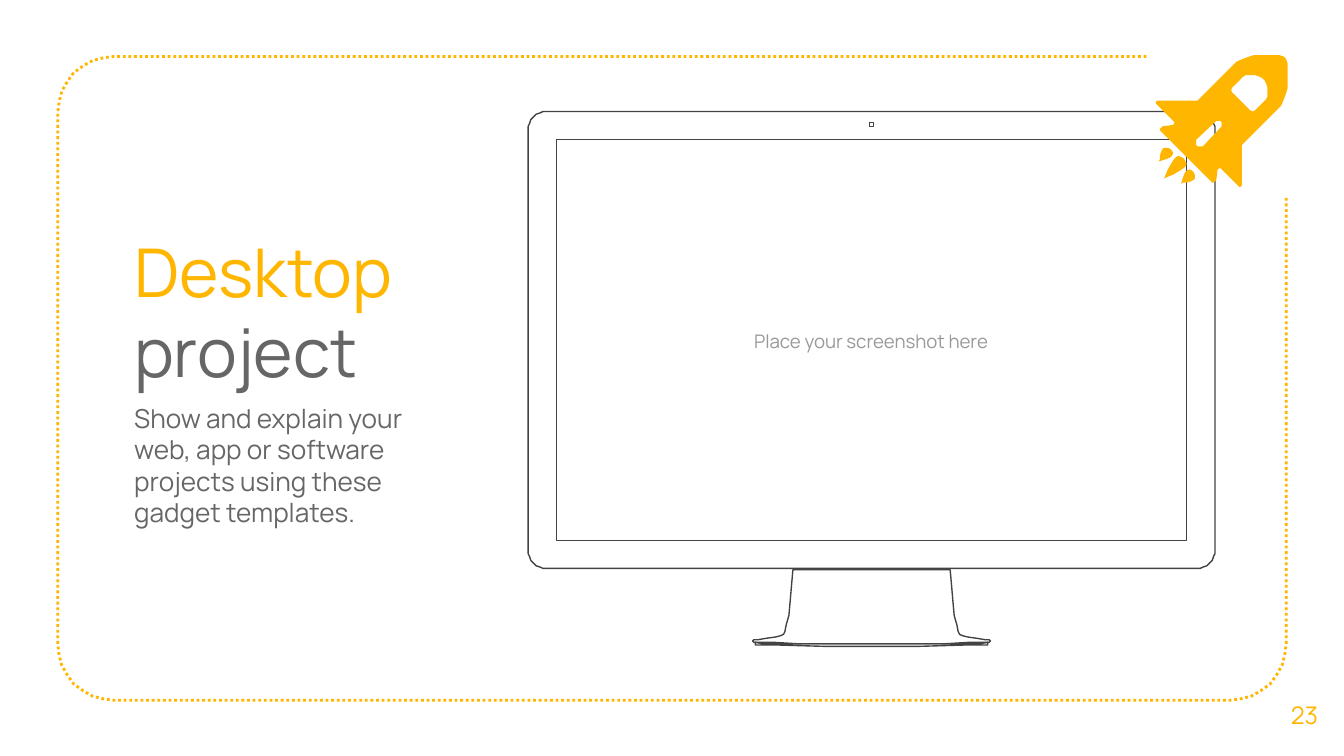
from math import cos, sin, radians
from pptx import Presentation
from pptx.dml.color import RGBColor
from pptx.enum.dml import MSO_LINE
from pptx.enum.text import MSO_ANCHOR, PP_ALIGN
from pptx.util import Inches, Pt

THEME = {
    "font": "Manrope",
    "gold": "FFB600", "gray": "666666", "pale": "999999",
    "ink": "434343", "white": "FFFFFF",
    "head": 36, "body": 14, "hint": 10, "page": 13,
}
WIDE, HIGH = 10, 5.625
COLS = 1000
CELL = Inches(WIDE) / COLS

TEXTS = [
    ((414, 104, 468, 299), PP_ALIGN.CENTER, 0,
     [[("Place your screenshot here", "hint", "pale")]]),
    ((941, 502, 59, 60), PP_ALIGN.CENTER, 0,
     [[("23", "page", "gold")]]),
    ((90, 42, 248, 480), PP_ALIGN.LEFT, 6,
     [[("Desktop ", "head", "gold"), ("project", "head", "gray")],
      [("Show and explain your web, app or software projects using these "
        "gadget templates.", "body", "gray")]]),
]

STAND = [(590, 424), (589, 435), (588, 447), (587, 458), (585, 465), (584, 470),
         (583, 472), (581, 473), (577, 474), (570, 475), (564, 476), (561, 476),
         (560, 477), (561, 478), (565, 478), (576, 478), (593, 479)]
FOOT = [(615, 479), (578, 479), (568, 479), (562, 478), (562, 480), (567, 480),
        (580, 480), (615, 481)]

HULL = [(956, 43), (955, 42), (952, 41), (945, 41), (939, 41), (933, 41),
        (927, 43), (922, 45), (920, 46), (918, 48), (891, 75), (862, 75),
        (861, 75), (860, 76), (860, 77), (861, 78), (874, 91), (873, 93),
        (865, 94), (864, 95), (863, 96), (863, 97), (864, 98)]
PANE = [(941, 60), (939, 58), (937, 57), (934, 56), (930, 56), (927, 56),
        (925, 57), (923, 59), (918, 64), (917, 65), (916, 67), (917, 69),
        (918, 70)]
SLOT = [(908, 90), (907, 90), (906, 90), (905, 90), (890, 104), (890, 105),
        (890, 107), (890, 108)]
FLAME = [(881, 118), (879, 117), (877, 116), (875, 117), (874, 118), (872, 121),
         (869, 126), (867, 131), (866, 133)]
SPARK = [(868, 110), (866, 110), (865, 111), (864, 113), (863, 116), (863, 119),
         (862, 120), (863, 120), (866, 119), (869, 118), (871, 117), (872, 116),
         (873, 114), (872, 112), (871, 111), (869, 110)]


def arc(x, y, size, start, end, steps=8):
    turns = [radians(start + (end - start) * i / steps) for i in range(steps + 1)]
    return [(x + size * cos(t), y + size * sin(t)) for t in turns]


def box(left, top, right, low, size):
    return (arc(left + size, top + size, size, 270, 180)
            + arc(left + size, low - size, size, 180, 90)
            + arc(right - size, low - size, size, 90, 0)
            + arc(right - size, top + size, size, 0, -90))


def across(dot):
    return 1297 - dot[0], dot[1]


def aslant(dot):
    return 999 - dot[1], 999 - dot[0]


def fold(half, flip):
    return half + [flip(dot) for dot in reversed(half)]


def color(name):
    return RGBColor.from_string(THEME[name])


def draw(paths, fill=None, line=None, width=0.75, close=True):
    pen = slide.shapes.build_freeform(*paths[0][0], scale=CELL)
    for i, dots in enumerate(paths):
        if i:
            pen.move_to(*dots[0])
        pen.add_line_segments(dots[1:], close=close)
    shape = pen.convert_to_shape()
    shape.shadow.inherit = False
    if fill:
        shape.fill.solid()
        shape.fill.fore_color.rgb = color(fill)
    else:
        shape.fill.background()
    if line:
        shape.line.color.rgb = color(line)
        shape.line.width = Pt(width)
    else:
        shape.line.fill.background()
    return shape


def write(area, align, gap, paras):
    frame = slide.shapes.add_textbox(*[round(n * CELL) for n in area]).text_frame
    frame.word_wrap = True
    frame.vertical_anchor = MSO_ANCHOR.MIDDLE
    frame.margin_left = frame.margin_right = Inches(0.1)
    frame.margin_top = frame.margin_bottom = Inches(0.1)
    for i, runs in enumerate(paras):
        para = frame.add_paragraph() if i else frame.paragraphs[0]
        para.alignment = align
        para.space_before = Pt(gap)
        for words, size, tint in runs:
            run = para.add_run()
            run.text = words
            run.font.name = THEME["font"]
            run.font.size = Pt(THEME[size])
            run.font.color.rgb = color(tint)


deck = Presentation()
deck.slide_width, deck.slide_height = Inches(WIDE), Inches(HIGH)
slide = deck.slides.add_slide(deck.slide_layouts[6])

edge = [(853, 42)] + box(43, 42, 957, 521, 42)[:27] + [(957, 146)]
draw([edge], line="gold", width=1.5, close=False).line.dash_style = MSO_LINE.ROUND_DOT

lens = arc(648.5, 92.5, 1.75, 0, 360, 16)
pane = [(883, 104), (883, 402), (414, 402), (414, 104)]
draw([lens, pane, box(393, 83, 904, 423, 14), fold(STAND, across), fold(FOOT, across)],
     fill="white", line="ink")

for text in TEXTS:
    write(*text)

draw([fold(PANE, aslant), fold(SLOT, aslant), fold(HULL, aslant)], fill="gold")
for part in (fold(FLAME, aslant), [aslant(dot) for dot in SPARK], SPARK):
    draw([part], fill="gold")

deck.save("out.pptx")
